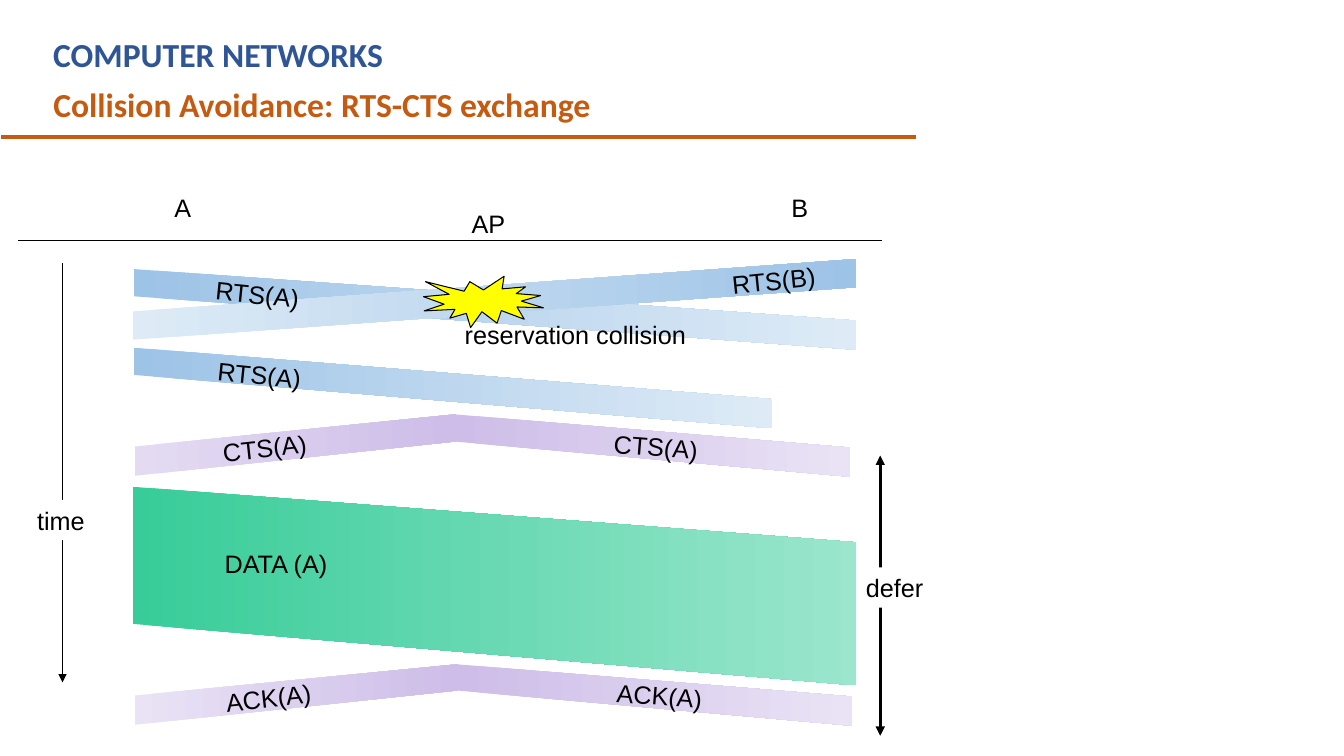
from lxml.etree import SubElement as Sub
from pptx import Presentation
from pptx.dml.color import RGBColor as RGB
from pptx.enum.shapes import MSO_CONNECTOR as CON, MSO_SHAPE as SHP
from pptx.oxml.ns import qn
from pptx.util import Pt

PX = 9144
BLUE, PALE = "9DC3E6", "DEEBF7"
LILAC, MIST, HAZE = "CDBDE8", "EAE3F5", "E4DBF3"
BLACK = "000000"


def paint(fill, hue):
    fill.solid()
    fill.fore_color.rgb = RGB.from_string(hue)


def write(text, box, turn=0, wrap=False, hue=BLACK, **form):
    item = shapes.add_textbox(*[n * PX for n in box])
    item.rotation = turn
    frame = item.text_frame
    frame.word_wrap = wrap
    frame.text = text
    font = frame.paragraphs[0].runs[0].font
    look = {"name": "Arial", "size": Pt(18), "bold": False} | form
    for key, val in look.items():
        setattr(font, key, val)
    paint(font.fill, hue)
    return item


deck = Presentation()
deck.slide_width, deck.slide_height = 1333 * PX, 750 * PX
shapes = deck.slides.add_slide(deck.slide_layouts[6]).shapes

head = {"name": "Calibri", "size": Pt(24), "bold": True}
write("COMPUTER NETWORKS", (43, 29, 820, 50), wrap=True, hue="2F5597", **head)
write("Collision Avoidance: RTS-CTS exchange", (43, 78, 558, 50), hue="C55A11", **head)

bands = [
    ((133, 849), (267, 318, 347, 294), (BLUE, PALE)),
    ((132, 849), (309, 257, 285, 337), (PALE, BLUE)),
    ((133, 766), (345, 396, 425, 372), (BLUE, PALE)),
    ((450, 843), (411, 444, 473, 438), (LILAC, MIST)),
    ((134, 452), (443, 411, 438, 472), (HAZE, LILAC)),
    ((132, 849), (483, 538, 680, 619), ("37CC99", "9BE6CC")),
    ((453, 845), (659, 691, 720, 685), (LILAC, MIST)),
    ((134, 454), (690, 659, 685, 719), (MIST, LILAC)),
]
for (left, right), tops, hues in bands:
    spots = list(zip((left, right, right, left), tops))
    path = shapes.build_freeform(*spots[0], scale=PX)
    path.add_line_segments(spots[1:], close=True)
    band = path.convert_to_shape()
    band.shadow.inherit = False
    band.line.fill.background()
    band.fill.gradient()
    band.fill.gradient_angle = 0
    for stop, hue in zip(band.fill.gradient_stops, hues):
        stop.color.rgb = RGB.from_string(hue)

burst = shapes.add_shape(SHP.EXPLOSION1, 420 * PX, 274 * PX, 119 * PX, 51 * PX)
burst.shadow.inherit = False
paint(burst.fill, "FFFF00")
paint(burst.line.fill, BLACK)
burst.line.width = Pt(0.75)

lines = [
    ((1, 136, 909, 136), "C55A11", 3, ()),
    ((18, 239, 875, 239), BLACK, 0.75, ()),
    ((873, 452, 873, 730), BLACK, 2.25, ("headEnd", "tailEnd")),
    ((62, 261, 62, 677), BLACK, 1.25, ("tailEnd",)),
]
for ends, hue, width, tips in lines:
    line = shapes.add_connector(CON.STRAIGHT, *[n * PX for n in ends])
    paint(line.line.fill, hue)
    line.line.width = Pt(width)
    for tip in tips:
        Sub(line.line._ln, qn("a:" + tip), type="triangle")
    Sub(line._element.spPr, qn("a:effectLst"))

labels = [
    ("AP", (458, 202, 54, 40), 0),
    ("A", (163, 186, 38, 40), 0),
    ("B", (775, 186, 37, 40), 0),
    ("RTS(A)", (204, 272, 107, 40), 5.9),
    ("RTS(B)", (716, 258, 104, 40), 354.1),
    ("RTS(A)", (206, 352, 107, 40), 5.9),
    ("CTS(A)", (211, 424, 106, 40), 353.7),
    ("CTS(A)", (599, 423, 106, 40), 4.6),
    ("ACK(A)", (214, 672, 105, 40), 353.7),
    ("ACK(A)", (602, 670, 105, 40), 4.6),
]
for text, box, turn in labels:
    write(text, box, turn)
write("DATA (A)", (213, 539, 197, 40), wrap=True)
write("reservation collision", (451, 312, 309, 40), wrap=True)
for text, box in [("defer", (849, 563, 78, 40)), ("time", (27, 496, 68, 40))]:
    paint(write(text, box).fill, "FFFFFF")

deck.save("out.pptx")
